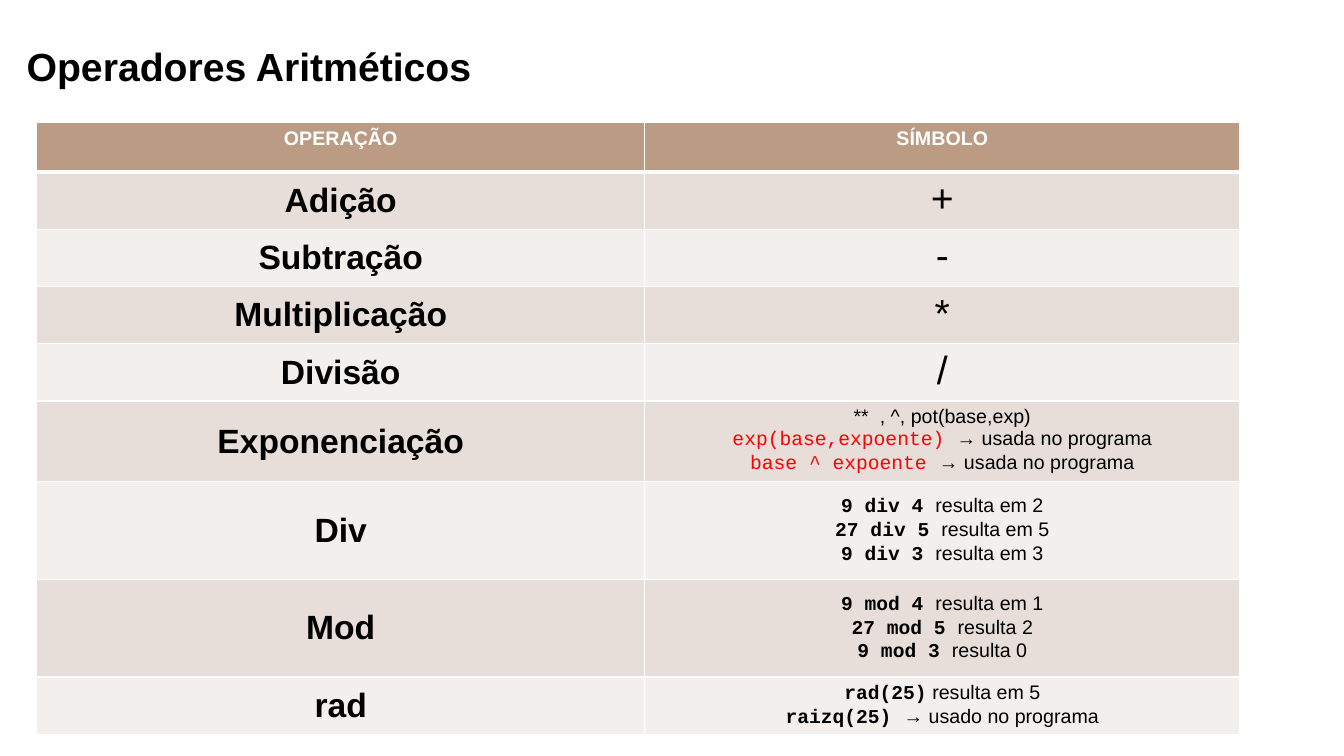
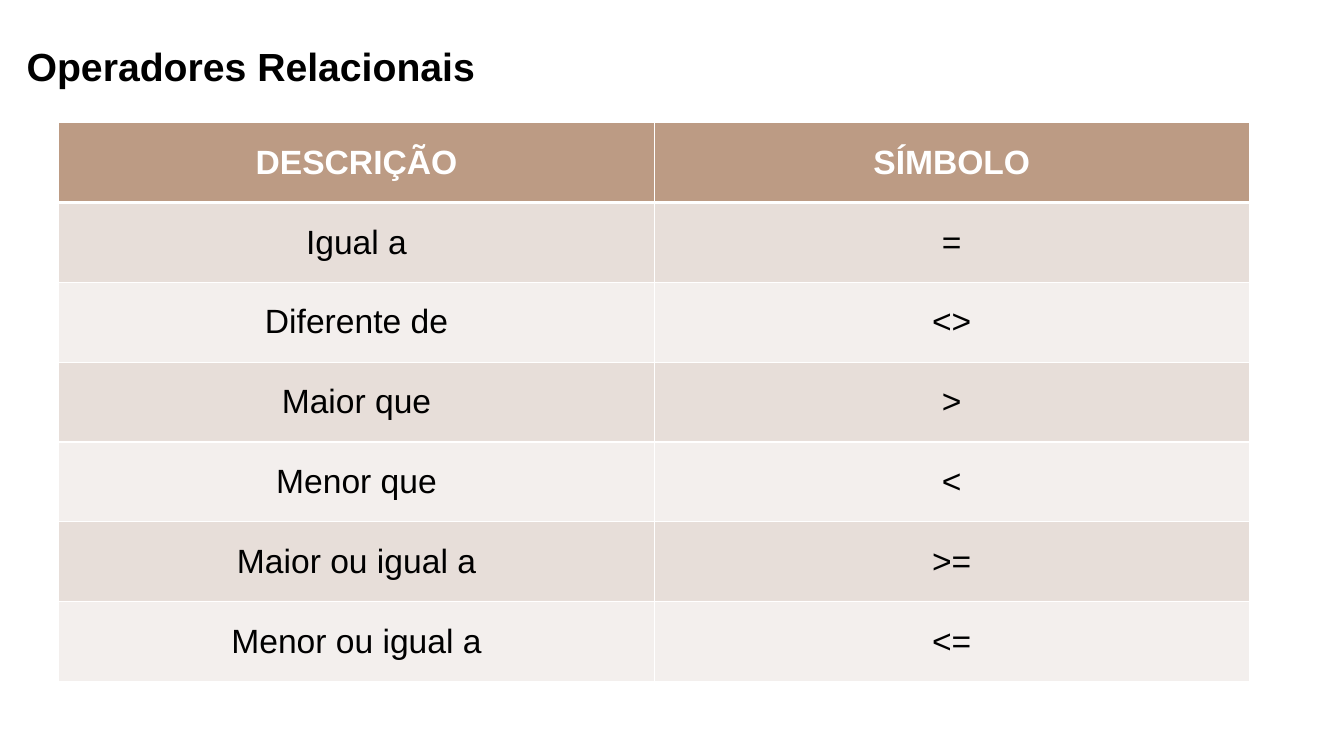
from dataclasses import dataclass

from lxml import etree
from pptx import Presentation
from pptx.dml.color import RGBColor
from pptx.enum.text import MSO_ANCHOR, MSO_AUTO_SIZE, PP_ALIGN
from pptx.oxml.ns import qn
from pptx.util import Pt

EMU_PER_PX = 9525
EMU_PER_POINT = 12700
BLANK_LAYOUT = 6
TOP, MIDDLE = MSO_ANCHOR.TOP, MSO_ANCHOR.MIDDLE
CENTER = PP_ALIGN.CENTER
GROW = MSO_AUTO_SIZE.SHAPE_TO_FIT_TEXT


@dataclass(frozen=True)
class Style:
    size: int
    bold: bool = False
    color: str = "000000"
    name: str = "Arial"


@dataclass(frozen=True)
class Theme:
    header_fill: str = "BC9B84"
    band_fills: tuple = ("E7DED9", "F3EFED")
    border: str = "FFFFFF"
    thin: int = 1
    thick: int = 3
    title: Style = Style(28, True)
    small_header: Style = Style(14, True, "FFFFFF")
    large_header: Style = Style(24, True, "FFFFFF")
    operation: Style = Style(24, True)
    symbol: Style = Style(28)
    plain: Style = Style(24)
    detail: Style = Style(14)
    code: Style = Style(14, True, name="Courier New")
    red_code: Style = Style(14, color="FF0000", name="Courier New")


THEME = Theme()


@dataclass(frozen=True)
class Box:
    left: int
    top: int
    width: int
    height: int

    def emu(self):
        return [px(value) for value in (self.left, self.top, self.width, self.height)]


@dataclass(frozen=True)
class CellText:
    lines: tuple
    style: Style
    anchor: MSO_ANCHOR = MIDDLE


SLIDE = Box(0, 0, 1280, 720)
TITLE = Box(16, 36, 1091, 55)
TABLE_TOP = 117


def px(value):
    return value * EMU_PER_PX


def apply_style(font, style):
    font.name = style.name
    font.size = Pt(style.size)
    font.bold = style.bold
    font.color.rgb = RGBColor.from_string(style.color)


def text_cell(text, style, anchor=MIDDLE):
    return CellText((((text, None),),), style, anchor)


def detail_cell(*lines, anchor=MIDDLE):
    return CellText(lines, THEME.detail, anchor)


def example(code, result, style=THEME.code):
    return (code, style), (result, None)


def add_title(slide, box, text):
    shape = slide.shapes.add_textbox(*box.emu())
    frame = shape.text_frame
    frame.word_wrap = True
    frame.auto_size = GROW
    paragraph = frame.paragraphs[0]
    paragraph.text = text
    apply_style(paragraph.font, THEME.title)


def set_borders(cell, top, bottom):
    properties = cell._tc.get_or_add_tcPr()
    widths = {"a:lnL": THEME.thin, "a:lnR": THEME.thin, "a:lnT": top, "a:lnB": bottom}
    for tag, width in widths.items():
        line = etree.SubElement(properties, qn(tag), w=str(width * EMU_PER_POINT))
        fill = etree.SubElement(line, qn("a:solidFill"))
        etree.SubElement(fill, qn("a:srgbClr"), val=THEME.border)


def fill_cell(cell, content, row):
    set_borders(
        cell,
        THEME.thick if row == 1 else THEME.thin,
        THEME.thick if row == 0 else THEME.thin,
    )
    color = THEME.band_fills[(row - 1) % 2] if row else THEME.header_fill
    cell.fill.solid()
    cell.fill.fore_color.rgb = RGBColor.from_string(color)
    cell.vertical_anchor = content.anchor
    frame = cell.text_frame
    for index, line in enumerate(content.lines):
        paragraph = frame.add_paragraph() if index else frame.paragraphs[0]
        paragraph.alignment = CENTER
        apply_style(paragraph.font, content.style)
        for text, style in line:
            run = paragraph.add_run()
            run.text = text
            if style:
                apply_style(run.font, style)


def add_operator_table(slide, left, top, column_widths, row_heights, rows):
    box = Box(left, top, sum(column_widths), sum(row_heights))
    table = slide.shapes.add_table(len(rows), len(column_widths), *box.emu()).table
    for column, width in zip(table.columns, column_widths):
        column.width = px(width)
    for row, height in zip(table.rows, row_heights):
        row.height = px(height)
    for row_index, contents in enumerate(rows):
        for column_index, content in enumerate(contents):
            fill_cell(table.cell(row_index, column_index), content, row_index)


def add_operator_slide(presentation, title, left, column_widths, row_heights, rows):
    slide = presentation.slides.add_slide(presentation.slide_layouts[BLANK_LAYOUT])
    add_title(slide, TITLE, title)
    add_operator_table(slide, left, TABLE_TOP, column_widths, row_heights, rows)


def arithmetic_rows():
    header = [text_cell(text, THEME.small_header, TOP) for text in ("OPERAÇÃO", "SÍMBOLO")]
    symbols = {"Adição": "+", "Subtração": "-", "Multiplicação": "*", "Divisão": "/"}
    details = {name: text_cell(symbol, THEME.symbol, TOP) for name, symbol in symbols.items()}
    details["Exponenciação"] = detail_cell(
        (("**  , ^, pot(base,exp)", None),),
        example("exp(base,expoente) ", "→ usada no programa", THEME.red_code),
        example("base ^ expoente ", "→ usada no programa", THEME.red_code),
        anchor=TOP,
    )
    details["Div"] = detail_cell(
        example("9 div 4 ", "resulta em 2"),
        example("27 div 5 ", "resulta em 5"),
        example("9 div 3 ", "resulta em 3"),
    )
    details["Mod"] = detail_cell(
        example("9 mod 4 ", "resulta em 1"),
        example("27 mod 5 ", "resulta 2"),
        example("9 mod 3 ", "resulta 0"),
    )
    details["rad"] = detail_cell(
        example("rad(25)", " resulta em 5"),
        example("raizq(25) ", "→ usado no programa"),
    )
    body = [(text_cell(name, THEME.operation), detail) for name, detail in details.items()]
    return [header, *body]


def relational_rows():
    header = [text_cell(text, THEME.large_header) for text in ("DESCRIÇÃO", "SÍMBOLO")]
    operators = [
        ("Igual a", "="),
        ("Diferente de", "<>"),
        ("Maior que", ">"),
        ("Menor que", "<"),
        ("Maior ou igual a", ">="),
        ("Menor ou igual a", "<="),
    ]
    body = [[text_cell(text, THEME.plain) for text in pair] for pair in operators]
    return [header, *body]


def main():
    presentation = Presentation()
    presentation.slide_width = px(SLIDE.width)
    presentation.slide_height = px(SLIDE.height)
    add_operator_slide(
        presentation,
        "Operadores Aritméticos",
        35,
        (579, 567),
        (47, *[54] * 4, 77, 93, 93, 54),
        arithmetic_rows(),
    )
    add_operator_slide(
        presentation,
        "Operadores Relacionais",
        56,
        (567, 567),
        [76] * 7,
        relational_rows(),
    )
    presentation.save("out.pptx")


if __name__ == "__main__":
    main()
